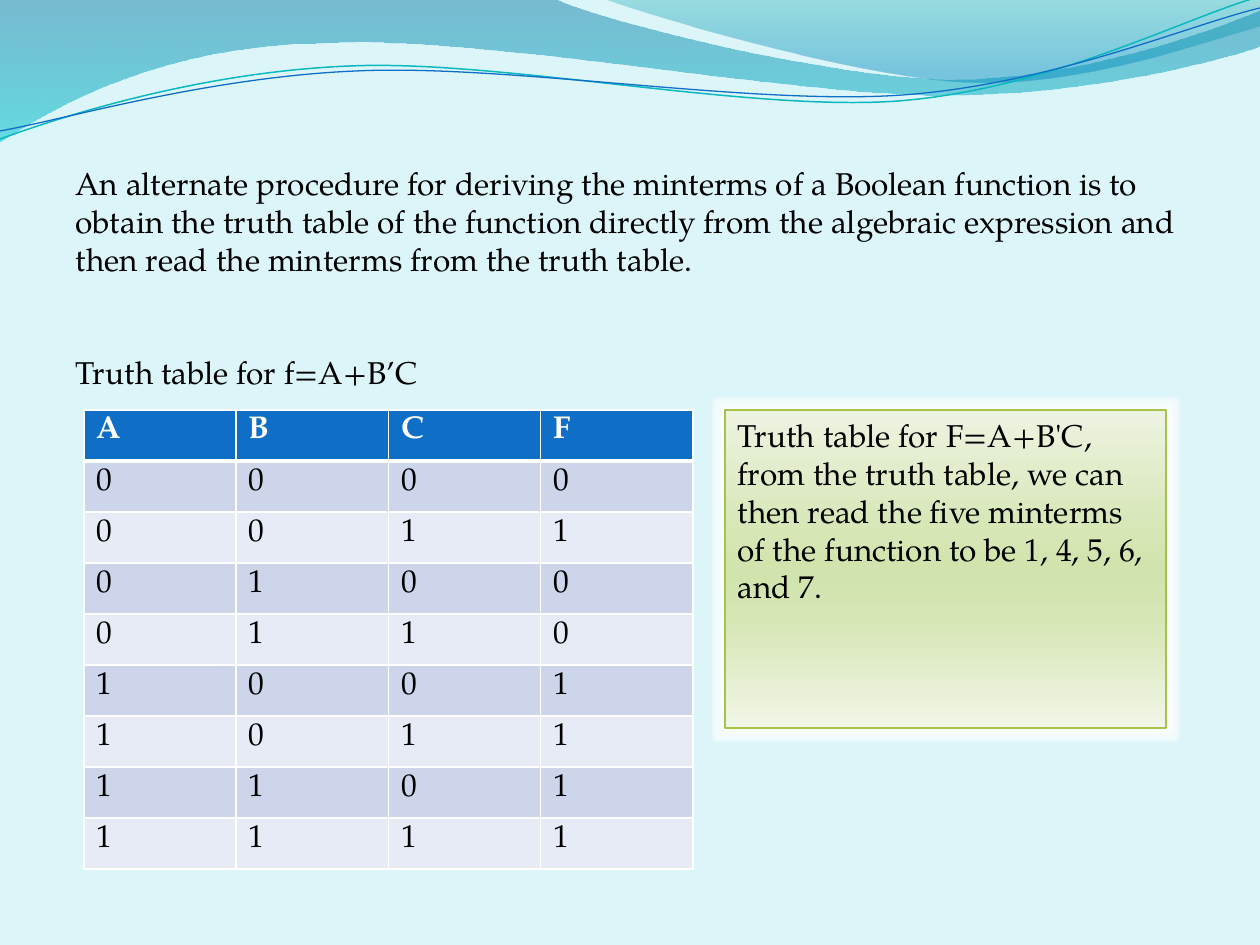
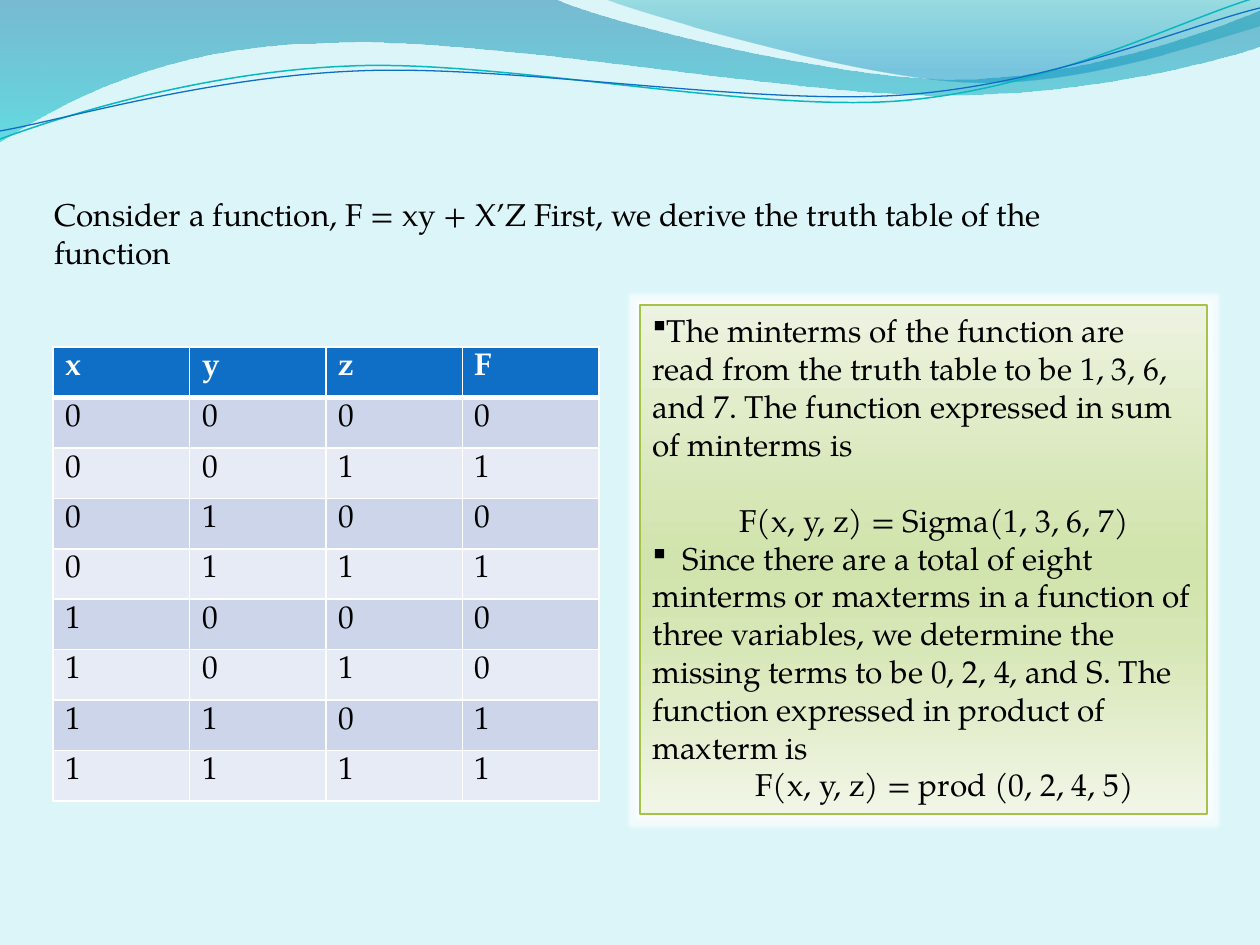
from dataclasses import dataclass
from itertools import product

from lxml.etree import SubElement as sub_element
from pptx import Presentation
from pptx.dml.color import RGBColor as Rgb
from pptx.enum.shapes import MSO_SHAPE as Preset
from pptx.enum.text import MSO_ANCHOR as Anchor, PP_ALIGN as Align
from pptx.oxml.ns import qn
from pptx.util import Emu, Pt

EMU_PER_PX = 914400 / 126
PAGE_WIDTH, PAGE_HEIGHT = 1260, 945
FONT, FONT_SIZE = "TeX Gyre Pagella", 18
BULLET_FONT, BULLET = "Wingdings", "§"

COLORS = {
    "page": "DBF5F9", "text": "000000", "white": "FFFFFF",
    "blue": "0F6FC6", "teal": "0AB8BF",
    "odd_row": "CCD5EA", "even_row": "E7EBF5",
    "wave_top": "0074A1", "wave_bottom": "00C6CF",
    "crest_top": "00A1A9", "crest_bottom": "008BBF",
    "note_top": "EDF3E1", "note_light": "D6E6B4", "note_mid": "D2E4AD",
    "note_bottom": "F1F6E7", "note_line": "A5C249",
}


@dataclass(frozen=True)
class Stop:
    percent: int
    color: str
    opacity: int = 100


@dataclass(frozen=True)
class Wave:
    """Each step holds one point (a line) or three points (a curve)."""
    start: tuple[int, int]
    steps: list[list[tuple[int, int]]]
    stops: tuple[Stop, ...] = ()
    line: str = ""
    line_width: float = 0


@dataclass(frozen=True)
class Frame:
    left: int
    top: int
    width: int
    height: int


@dataclass(frozen=True)
class Para:
    text: str
    space_before: int = 0
    indent: int = 0
    bullet: bool = False


@dataclass(frozen=True)
class TruthTable:
    frame: Frame
    header: str
    outputs: str


@dataclass(frozen=True)
class Page:
    intro_frame: Frame
    intro: list[Para]
    table: TruthTable
    note_frame: Frame
    note: list[Para]


WAVES = [
    Wave((-1, -1), [
        [(555, -1)],
        [(600, 21), (837, 79), (955, 79)],
        [(1075, 79), (1207, 33), (1260, 11)],
        [(1261, 46)],
        [(1239, 55), (1096, 96), (940, 95)],
        [(784, 95), (481, 35), (324, 43)],
        [(163, 45), (58, 105), (-1, 142)],
    ], stops=(Stop(0, "wave_top", 45), Stop(100, "wave_bottom", 55))),
    Wave((604, -1), [
        [(641, 14), (859, 78), (969, 82)],
        [(1079, 87), (1211, 40), (1260, 26)],
        [(1260, 0)],
    ], stops=(Stop(0, "crest_top", 30), Stop(80, "crest_bottom", 45))),
    Wave((0, 139), [
        [(60, 117), (199, 72), (349, 66)],
        [(498, 59), (747, 112), (898, 101)],
        [(1050, 89), (1182, 19), (1258, -3)],
    ], line="teal", line_width=0.85),
    Wave((0, 131), [
        [(59, 121), (207, 77), (357, 71)],
        [(508, 64), (752, 106), (903, 95)],
        [(1053, 84), (1186, 26), (1260, 8)],
    ], line="blue", line_width=0.75),
]

NOTE_STOPS = (Stop(0, "note_top"), Stop(40, "note_light"), Stop(50, "note_mid"),
              Stop(65, "note_light"), Stop(100, "note_bottom"))

PAGES = [
    Page(
        Frame(63, 158, 1176, 357),
        [Para("An alternate procedure for deriving the minterms of a Boolean function "
              "is to obtain the truth table of the function directly from the algebraic "
              "expression and then read the minterms from the truth table."),
         Para("Truth table for f=A+B’C", space_before=43)],
        TruthTable(Frame(84, 410, 609, 459), "ABCF", "01001111"),
        Frame(725, 410, 441, 318),
        [Para("Truth table for F=A+B'C, from the truth table, we can then read the five "
              "minterms of the function to be 1, 4, 5, 6, and 7.")],
    ),
    Page(
        Frame(42, 189, 1081, 519),
        [Para("Consider a function, F = xy + X’Z First, we derive the truth table of "
              "the function")],
        TruthTable(Frame(53, 347, 546, 454), "xyzF", "01010011"),
        Frame(640, 305, 567, 509),
        [Para("The minterms of the function are read from the truth table to be 1, 3, 6, "
              "and 7. The function expressed in sum of minterms is", bullet=True),
         Para("F(x, y, z) = Sigma(1, 3, 6, 7)", space_before=22, indent=87),
         Para("  Since there are a total of eight minterms or maxterms in a function of "
              "three variables, we determine the missing terms to be 0, 2, 4, and S. The "
              "function expressed in product of maxterm is", bullet=True),
         Para("F(x, y, z) = prod (0, 2, 4, 5)", indent=103)],
    ),
]


def px(length: float) -> Emu:
    return Emu(round(length * EMU_PER_PX))


def rgb(name: str) -> Rgb:
    return Rgb.from_string(COLORS[name])


def place(frame: Frame) -> tuple[Emu, Emu, Emu, Emu]:
    return px(frame.left), px(frame.top), px(frame.width), px(frame.height)


def add_color(parent, name: str, opacity: int = 100) -> None:
    color = sub_element(parent, qn("a:srgbClr"), val=COLORS[name])
    if opacity < 100:
        sub_element(color, qn("a:alpha"), val=str(opacity * 1000))


def fill_downward(shape, stops: tuple[Stop, ...]) -> None:
    shape.fill.gradient()
    shape.fill.gradient_angle = 270
    stop_list = shape._element.spPr.find(".//" + qn("a:gsLst"))
    for default_stop in list(stop_list):
        stop_list.remove(default_stop)
    for stop in stops:
        node = sub_element(stop_list, qn("a:gs"), pos=str(stop.percent * 1000))
        add_color(node, stop.color, stop.opacity)


def bend(shape, steps: list[list[tuple[int, int]]]) -> None:
    """Join the three line segments of each curved step into one Bezier curve."""
    outline = shape._element.spPr.find(".//" + qn("a:moveTo")).getparent()
    segments = iter(outline.findall(qn("a:lnTo")))
    for step in steps:
        group = [next(segments) for _ in step]
        if len(group) == 3:
            curve = sub_element(outline, qn("a:cubicBezTo"))
            group[0].addprevious(curve)
            for segment in group:
                curve.append(segment[0])
                outline.remove(segment)


def draw_wave(page, wave: Wave) -> None:
    corners = [(px(x), px(y)) for step in wave.steps for x, y in step]
    builder = page.shapes.build_freeform(*(px(value) for value in wave.start))
    builder.add_line_segments(corners, close=bool(wave.stops))
    shape = builder.convert_to_shape()
    bend(shape, wave.steps)
    shape.shadow.inherit = False
    if wave.stops:
        fill_downward(shape, wave.stops)
        shape.line.fill.background()
    else:
        shape.fill.background()
        shape.line.color.rgb = rgb(wave.line)
        shape.line.width = Pt(wave.line_width)


def format_span(span, color: str = "text", bold: bool = False) -> None:
    span.font.name = FONT
    span.font.size = Pt(FONT_SIZE)
    span.font.bold = bold
    span.font.color.rgb = rgb(color)


def write(text_frame, paras: list[Para]) -> None:
    text_frame.word_wrap = True
    text_frame.vertical_anchor = Anchor.TOP
    text_frame.text = "\n".join(para.text for para in paras)
    for paragraph, para in zip(text_frame.paragraphs, paras):
        paragraph.alignment = Align.LEFT
        paragraph.space_before = Pt(para.space_before)
        properties = paragraph._p.get_or_add_pPr()
        properties.set("marL", str(px(para.indent)))
        properties.set("indent", "0")
        if para.bullet:
            sub_element(properties, qn("a:buFont"), typeface=BULLET_FONT,
                        pitchFamily="2", charset="2")
            sub_element(properties, qn("a:buChar"), char=BULLET)
        for span in paragraph.runs:
            format_span(span)


def draw_note(page, frame: Frame, paras: list[Para]) -> None:
    box = page.shapes.add_shape(Preset.RECTANGLE, *place(frame))
    fill_downward(box, NOTE_STOPS)
    box.line.color.rgb = rgb("note_line")
    box.line.width = Pt(0.94)
    box.shadow.inherit = False
    # Soft white halo
    effects = box._element.spPr.find(qn("a:effectLst"))
    add_color(sub_element(effects, qn("a:glow"), rad=str(px(8))), "white", 65)
    write(box.text_frame, paras)


def set_borders(cell, top: int, bottom: int) -> None:
    properties = cell._tc.get_or_add_tcPr()
    for index, (side, width) in enumerate((("L", 1), ("R", 1), ("T", top), ("B", bottom))):
        border = sub_element(properties, qn(f"a:ln{side}"), w=str(Pt(width)))
        add_color(sub_element(border, qn("a:solidFill")), "white")
        properties.insert(index, border)


def draw_truth_table(page, truth: TruthTable) -> None:
    inputs = product("01", repeat=len(truth.header) - 1)
    rows = [truth.header] + ["".join(bits) + output
                             for bits, output in zip(inputs, truth.outputs)]
    table = page.shapes.add_table(len(rows), len(truth.header), *place(truth.frame)).table
    table.first_row = table.horz_banding = False
    for column in table.columns:
        column.width = px(truth.frame.width / len(truth.header))
    for row_index, values in enumerate(rows):
        is_header = row_index == 0
        fill = "blue" if is_header else "odd_row" if row_index % 2 else "even_row"
        table.rows[row_index].height = px(truth.frame.height / len(rows))
        for column_index, value in enumerate(values):
            cell = table.cell(row_index, column_index)
            cell.text_frame.text = value
            format_span(cell.text_frame.paragraphs[0].runs[0],
                        "white" if is_header else "text", is_header)
            cell.fill.solid()
            cell.fill.fore_color.rgb = rgb(fill)
            set_borders(cell, top=3 if row_index == 1 else 1, bottom=3 if is_header else 1)


def draw_page(deck, content: Page) -> None:
    page = deck.slides.add_slide(deck.slide_layouts[6])
    page.background.fill.solid()
    page.background.fill.fore_color.rgb = rgb("page")
    for wave in WAVES:
        draw_wave(page, wave)
    intro = page.shapes.add_textbox(*place(content.intro_frame))
    write(intro.text_frame, content.intro)
    draw_truth_table(page, content.table)
    draw_note(page, content.note_frame, content.note)


def main() -> None:
    deck = Presentation()
    deck.slide_width, deck.slide_height = px(PAGE_WIDTH), px(PAGE_HEIGHT)
    for content in PAGES:
        draw_page(deck, content)
    deck.save("out.pptx")


if __name__ == "__main__":
    main()
